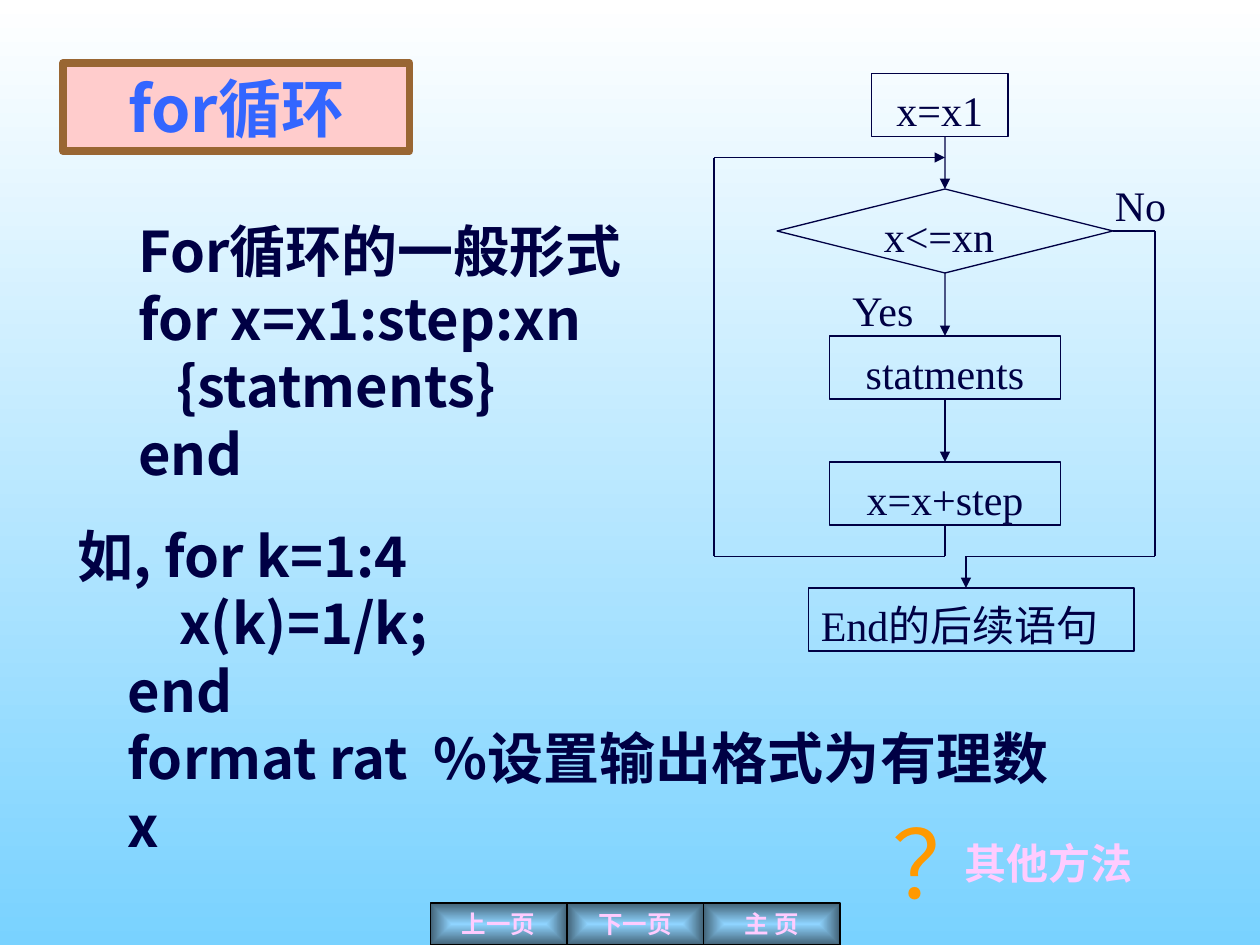
from typing import NamedTuple

import pptx
import pptx.dml.color
import pptx.enum.dml
import pptx.enum.shapes
import pptx.enum.text
import pptx.oxml
import pptx.oxml.ns
import pptx.util

RGB = pptx.dml.color.RGBColor
NAVY = RGB(0x00, 0x00, 0x44)
BLUE = RGB(0x33, 0x66, 0xFF)
PINK = RGB(0xFF, 0xCC, 0xFF)
ROSE = RGB(0xFF, 0xCC, 0xCC)
BROWN = RGB(0x99, 0x66, 0x33)
ORANGE = RGB(0xFF, 0x99, 0x00)
BLACK = RGB(0x00, 0x00, 0x00)
WHITE = RGB(0xFF, 0xFF, 0xFF)
SKY = RGB(0x79, 0xD2, 0xFF)
LIGHT = RGB(0x8F, 0xD4, 0xFF)
STEEL = RGB(0x42, 0x62, 0x76)

SANS, SERIF = "Noto Sans CJK SC", "Times New Roman"
KIND = pptx.enum.shapes.MSO_SHAPE
ALIGN = pptx.enum.text.PP_ALIGN
ANCHOR = pptx.enum.text.MSO_ANCHOR
TOP, LEFT, BOTTOM, RIGHT = range(4)

# The slide is a grid of 120 columns by 90 rows
CELL = 1 / 12
COLS, ROWS = 120, 90


class Area(NamedTuple):
    col: float
    row: float
    wide: float
    high: float


class Node(NamedTuple):
    area: Area
    text: str = ""
    kind: int = KIND.RECTANGLE
    align: int = ALIGN.CENTER


class Link(NamedTuple):
    start: tuple
    stop: tuple
    arrow: bool = False
    tail: tuple = ()  # (node name, side) joined at the start
    head: tuple = ()  # (node name, side) joined at the end


def grid(count: float) -> int:
    return pptx.util.Inches(count * CELL)


def tag(name: str, attrs: str = "", inner: str = ""):
    space = pptx.oxml.ns.nsdecls("a")
    return pptx.oxml.parse_xml(f"<a:{name} {space} {attrs}>{inner}</a:{name}>")


def write(shape, text: str, size: float, *, font=SANS, color=NAVY, bold=False,
          align=ALIGN.LEFT, anchor=ANCHOR.TOP, indents=(), pitch=None,
          top=0.05, wrap=True) -> None:
    """Fill a shape with lines of text; indents are inches for each line."""
    frame = shape.text_frame
    frame.word_wrap = wrap
    frame.vertical_anchor = anchor
    frame.margin_left = frame.margin_right = pptx.util.Inches(0.1)
    frame.margin_top = pptx.util.Inches(top)
    frame.margin_bottom = pptx.util.Inches(0.05)
    for num, line in enumerate(text.split("\n")):
        para = frame.add_paragraph() if num else frame.paragraphs[0]
        para.alignment = align
        if pitch:
            para.line_spacing = pptx.util.Pt(pitch)
        if indents:
            props = para._p.get_or_add_pPr()
            props.set("marL", str(pptx.util.Inches(indents[num])))
            props.set("indent", "0")
        run = para.add_run()
        run.text = line
        run.font.size = pptx.util.Pt(size)
        run.font.bold = bold
        run.font.name = font
        run.font.color.rgb = color
        run.font._element.find(pptx.oxml.ns.qn("a:latin")).addnext(
            tag("ea", f'typeface="{SANS}"'))


def draw(slide, area: Area, kind=KIND.RECTANGLE, fill=None, edge=NAVY, width=0.75):
    shape = slide.shapes.add_shape(kind, *map(grid, area))
    shape.shadow.inherit = False
    if fill is None:
        shape.fill.background()
    else:
        shape.fill.solid()
        shape.fill.fore_color.rgb = fill
    shape.line.color.rgb = edge
    shape.line.width = pptx.util.Pt(width)
    return shape


def label(slide, area: Area, text: str, size: float, **style) -> None:
    write(slide.shapes.add_textbox(*map(grid, area)), text, size, **style)


def blend(fill, first: RGB, last: RGB) -> None:
    fill.gradient()
    for stop, color, place in zip(fill.gradient_stops, (first, last), (0, 1)):
        stop.color.rgb = color
        stop.position = place


def join(slide, link: Link, nodes: dict) -> None:
    line = slide.shapes.add_connector(
        pptx.enum.shapes.MSO_CONNECTOR.STRAIGHT, *map(grid, link.start + link.stop))
    if link.tail:
        line.begin_connect(nodes[link.tail[0]], link.tail[1])
    if link.head:
        line.end_connect(nodes[link.head[0]], link.head[1])
    line.line.color.rgb = NAVY
    line.line.width = pptx.util.Pt(0.75)
    if link.arrow:
        line.line._get_or_add_ln().append(tag("tailEnd", 'type="triangle"'))
    line._element.spPr.append(tag("effectLst"))


def button(slide, area: Area, text: str, font: str) -> None:
    shape = draw(slide, area, edge=BLACK)
    blend(shape.fill, LIGHT, STEEL)
    ramp = shape._element.spPr.find(pptx.oxml.ns.qn("a:gradFill"))
    ramp.remove(ramp.find(pptx.oxml.ns.qn("a:lin")))
    ramp.append(tag("path", 'path="rect"',
                    '<a:fillToRect l="50000" t="50000" r="50000" b="50000"/>'))
    write(shape, text, 14, font=font, color=PINK, bold=True,
          align=ALIGN.CENTER, anchor=ANCHOR.MIDDLE, wrap=False)


NODES = {
    "start": Node(Area(83, 7, 13, 6), "x=x1"),
    "test": Node(Area(74, 18, 32, 8), kind=KIND.FLOWCHART_DECISION),
    "body": Node(Area(79, 32, 22, 6), "statments"),
    "step": Node(Area(79, 44, 22, 6), "x=x+step"),
    "end": Node(Area(77, 56, 31, 6), "End的后续语句", align=ALIGN.LEFT),
}
LINKS = [
    Link((90, 13), (90, 18), True, head=("test", TOP)),
    Link((90, 26), (90, 32), True, ("test", BOTTOM), ("body", TOP)),
    Link((90, 38), (90, 44), True, ("body", BOTTOM), ("step", TOP)),
    # Way back to the test
    Link((90, 50), (90, 53), tail=("step", BOTTOM)),
    Link((68, 53), (90, 53)),
    Link((68, 15), (68, 53)),
    Link((68, 15), (90, 15), True),
    # Way out of the loop
    Link((106, 22), (110, 22), tail=("test", RIGHT)),
    Link((110, 22), (110, 53)),
    Link((92, 53), (110, 53)),
    Link((92, 53), (92, 56), True),
]
CODE = "如, for k=1:4\nx(k)=1/k;\nend\nformat rat  %设置输出格式为有理数\nx"
FORM = "For循环的一般形式\nfor x=x1:step:xn\n{statments}\nend"


def main() -> None:
    deck = pptx.Presentation()
    deck.slide_width, deck.slide_height = grid(COLS), grid(ROWS)
    slide = deck.slides.add_slide(deck.slide_layouts[6])
    back = slide.background.fill
    blend(back, WHITE, SKY)
    back.gradient_angle = 270

    # Page buttons
    for num, (text, font) in enumerate(
            [("上一页", "Arial"), ("下一页", "Arial"), ("主 页", SANS)]):
        button(slide, Area(41 + 13 * num, 86, 13, 4), text, font)

    # Title and code
    title = draw(slide, Area(6, 6, 33, 8.4), fill=ROSE, edge=BROWN, width=4.5)
    write(title, "for循环", 36, color=BLUE, bold=True, align=ALIGN.CENTER, pitch=43.2)
    bulk = dict(bold=True, pitch=38.6)
    label(slide, Area(5, 49, 108, 39.6), CODE, 32,
          indents=(0.1, 0.91, 0.5, 0.5, 0.5), **bulk)
    label(slide, Area(12, 20, 79, 26.9), FORM, 32, indents=(0, 0, 0.3, 0), **bulk)

    # Flow chart
    flow = dict(font=SERIF, top=0.09)
    nodes = {}
    for name, node in NODES.items():
        nodes[name] = draw(slide, node.area, node.kind)
        if node.text:
            write(nodes[name], node.text, 24, align=node.align, **flow)
    for link in LINKS:
        join(slide, link, nodes)
    label(slide, Area(80, 19, 19, 6), "x<=xn", 24, indents=(0.25,), **flow)
    label(slide, Area(80, 26, 9, 6), "Yes", 24, **flow)
    label(slide, Area(105, 16, 9, 6), "No", 24, **flow)

    # Closing question
    label(slide, Area(83, 76.1, 13, 12), "？", 54, color=ORANGE,
          align=ALIGN.CENTER, pitch=64.8)
    label(slide, Area(89, 79.2, 21.7, 6), "其他方法", 24, color=PINK,
          bold=True, align=ALIGN.CENTER, pitch=28.8)

    deck.save("out.pptx")


if __name__ == "__main__":
    main()
